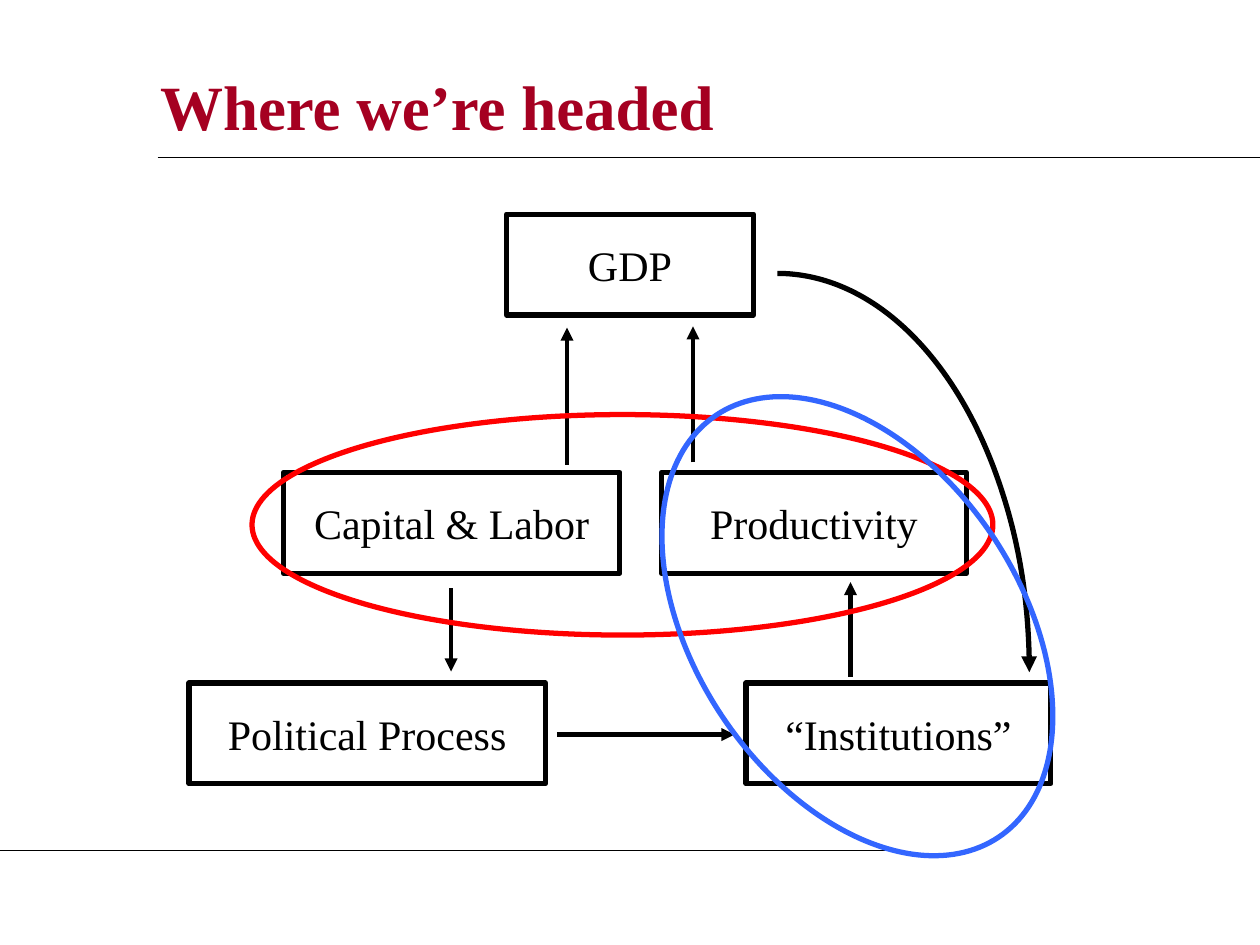
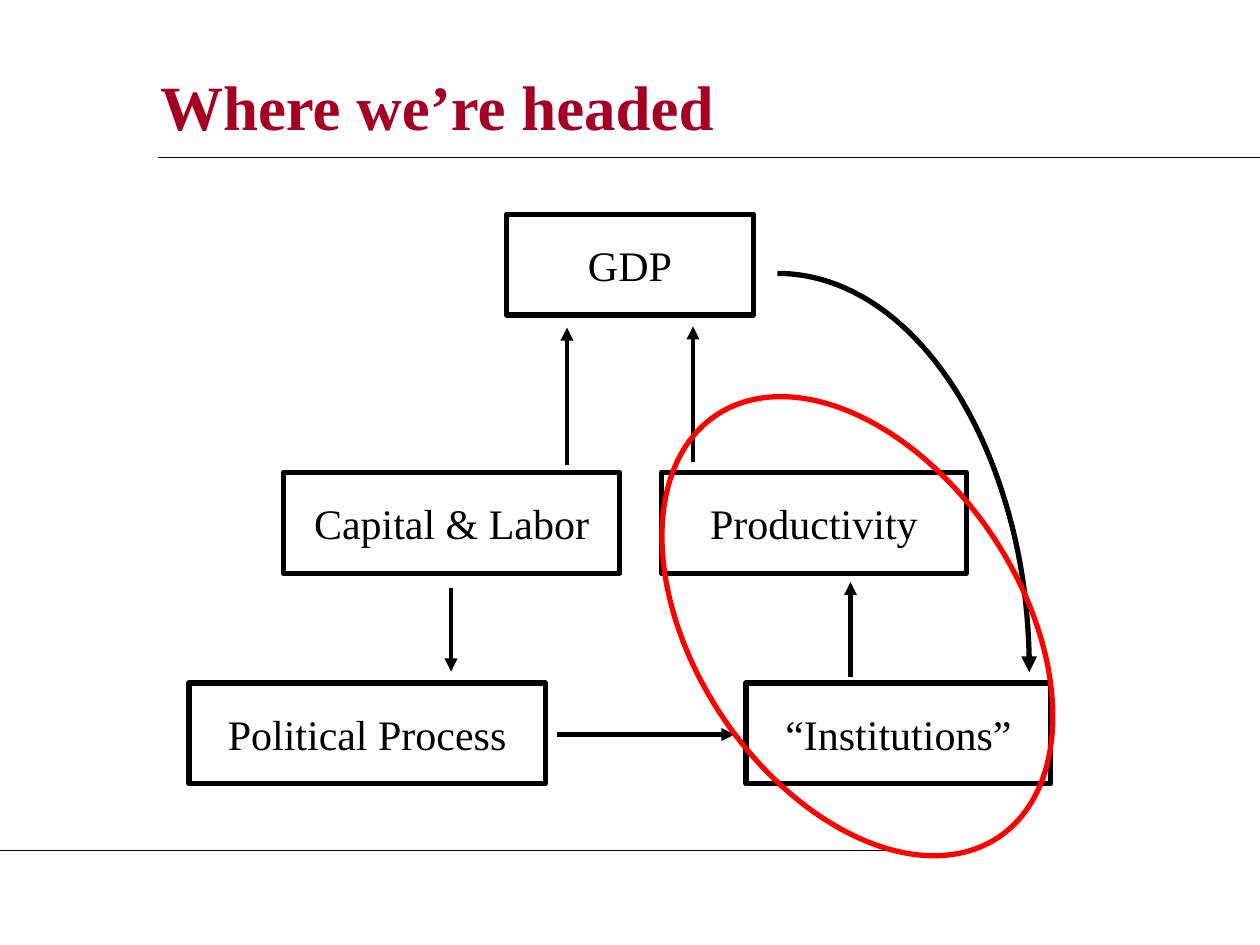
from lxml import etree
from pptx import Presentation
from pptx.dml.color import RGBColor
from pptx.enum.shapes import MSO_CONNECTOR, MSO_SHAPE
from pptx.enum.text import MSO_ANCHOR, MSO_AUTO_SIZE, PP_ALIGN
from pptx.oxml.ns import qn
from pptx.util import Inches, Pt

STRAIGHT = MSO_CONNECTOR.STRAIGHT
RECTANGLE, OVAL, ARC = MSO_SHAPE.RECTANGLE, MSO_SHAPE.OVAL, MSO_SHAPE.ARC
MIDDLE = MSO_ANCHOR.MIDDLE
NO_AUTOFIT = MSO_AUTO_SIZE.NONE
LEFT, CENTER = PP_ALIGN.LEFT, PP_ALIGN.CENTER

TITLE_ONLY = 5
COLORS = {"title": "A50021", "ink": "000000", "red": "FF0000", "blue": "3366FF"}
FONT = "Times New Roman"
TITLE_FONT = {"name": FONT, "size": Pt(36), "bold": True}
BOX_FONT = {"name": FONT, "size": Pt(24), "bold": False}
TITLE_FRAME = {
    "vertical_anchor": MIDDLE, "word_wrap": True, "auto_size": NO_AUTOFIT,
    "margin_left": Inches(0.1), "margin_right": Inches(0.1),
    "margin_top": Inches(0.05), "margin_bottom": Inches(0.05),
}
BOX_FRAME = {
    "vertical_anchor": MIDDLE, "word_wrap": True, "auto_size": NO_AUTOFIT,
    "margin_left": Inches(0.2), "margin_right": Inches(0.2),
    "margin_top": Inches(0.2), "margin_bottom": Inches(0.2),
}

TITLE = "Where we’re headed"
RULES = [((1.25, 1.25), (10, 1.25)), ((0, 6.75), (7.08, 6.75))]
BOX_HEIGHT = 0.8
TOP_ROW, MIDDLE_ROW, BOTTOM_ROW = 1.7, 3.75, 5.42
BOXES = [
    ("GDP", 4.02, TOP_ROW, 1.96),
    ("Capital & Labor", 2.25, MIDDLE_ROW, 2.67),
    ("Productivity", 5.25, MIDDLE_ROW, 2.42),
    ("Political Process", 1.5, BOTTOM_ROW, 2.83),
    ("“Institutions”", 5.92, BOTTOM_ROW, 2.42),
]
ARROWS = [
    ((4.5, 3.69), (4.5, 2.6)),
    ((5.5, 3.67), (5.5, 2.59)),
    ((6.75, 5.37), (6.75, 4.62)),
    ((4.42, 5.83), (5.83, 5.83)),
    ((3.58, 4.67), (3.58, 5.33)),
]
FEEDBACK_ARC = (4.17, 2.17, 4, 6.33)
INPUTS_RING = (2, 3.29, 5.88, 1.75)
INSTITUTIONS_RING = (4.79, 3.68, 4.03, 2.58)
INSTITUTIONS_TILT = 56.2
SLIDE_RINGS = [
    [(INPUTS_RING, 0, "red"), (INSTITUTIONS_RING, INSTITUTIONS_TILT, "blue")],
    [(INSTITUTIONS_RING, INSTITUTIONS_TILT, "red")],
]


def apply_format(target, values):
    for name, value in values.items():
        setattr(target, name, value)


def color(name):
    return RGBColor.from_string(COLORS[name])


def set_line(shape, color_name, width):
    shape.line.color.rgb = color(color_name)
    shape.line.width = Pt(width)


def add_arrowhead(shape):
    properties = shape.line._get_or_add_ln()
    etree.SubElement(properties, qn("a:tailEnd"), type="triangle")


def write_text(shape, text, frame_format, font_format, color_name, alignment):
    frame = shape.text_frame
    apply_format(frame, frame_format)
    frame.text = text
    paragraph = frame.paragraphs[0]
    paragraph.alignment = alignment
    apply_format(paragraph.font, font_format)
    paragraph.font.color.rgb = color(color_name)


def add_title(slide):
    title = slide.shapes.title
    position = {"left": 1.17, "top": 0.42, "width": 8.08, "height": 0.83}
    apply_format(title, {name: Inches(value) for name, value in position.items()})
    write_text(title, TITLE, TITLE_FRAME, TITLE_FONT, "title", LEFT)


def add_line(slide, start, end, width):
    points = [Inches(value) for value in (*start, *end)]
    connector = slide.shapes.add_connector(STRAIGHT, *points)
    set_line(connector, "ink", width)
    etree.SubElement(connector._element.spPr, qn("a:effectLst"))
    return connector


def add_outline(slide, kind, bounds, color_name="ink"):
    shape = slide.shapes.add_shape(kind, *[Inches(value) for value in bounds])
    shape.shadow.inherit = False
    shape.fill.background()
    set_line(shape, color_name, 3)
    return shape


def add_box(slide, text, left, top, width):
    box = add_outline(slide, RECTANGLE, (left, top, width, BOX_HEIGHT))
    write_text(box, text, BOX_FRAME, BOX_FONT, "ink", CENTER)


def add_growth_diagram(slide):
    for box in BOXES:
        add_box(slide, *box)
    for start, end in ARROWS:
        add_arrowhead(add_line(slide, start, end, 2.5))
    add_arrowhead(add_outline(slide, ARC, FEEDBACK_ARC))


def main():
    presentation = Presentation()
    presentation.slide_width = Inches(10)
    presentation.slide_height = Inches(7.5)
    for rings in SLIDE_RINGS:
        slide = presentation.slides.add_slide(presentation.slide_layouts[TITLE_ONLY])
        add_title(slide)
        for start, end in RULES:
            add_line(slide, start, end, 0.75)
        add_growth_diagram(slide)
        for bounds, tilt, color_name in rings:
            add_outline(slide, OVAL, bounds, color_name).rotation = tilt
    presentation.save("out.pptx")


if __name__ == "__main__":
    main()
